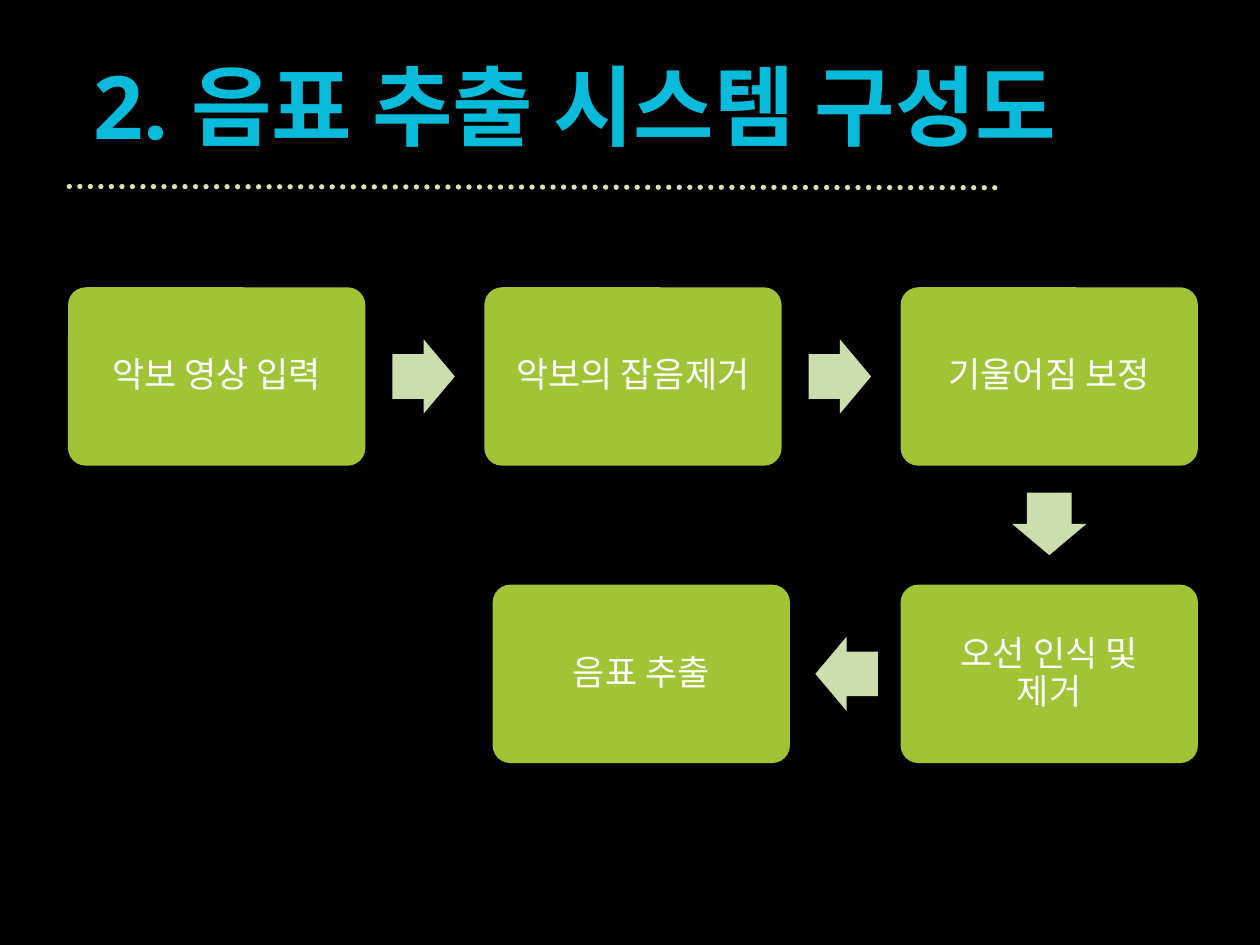
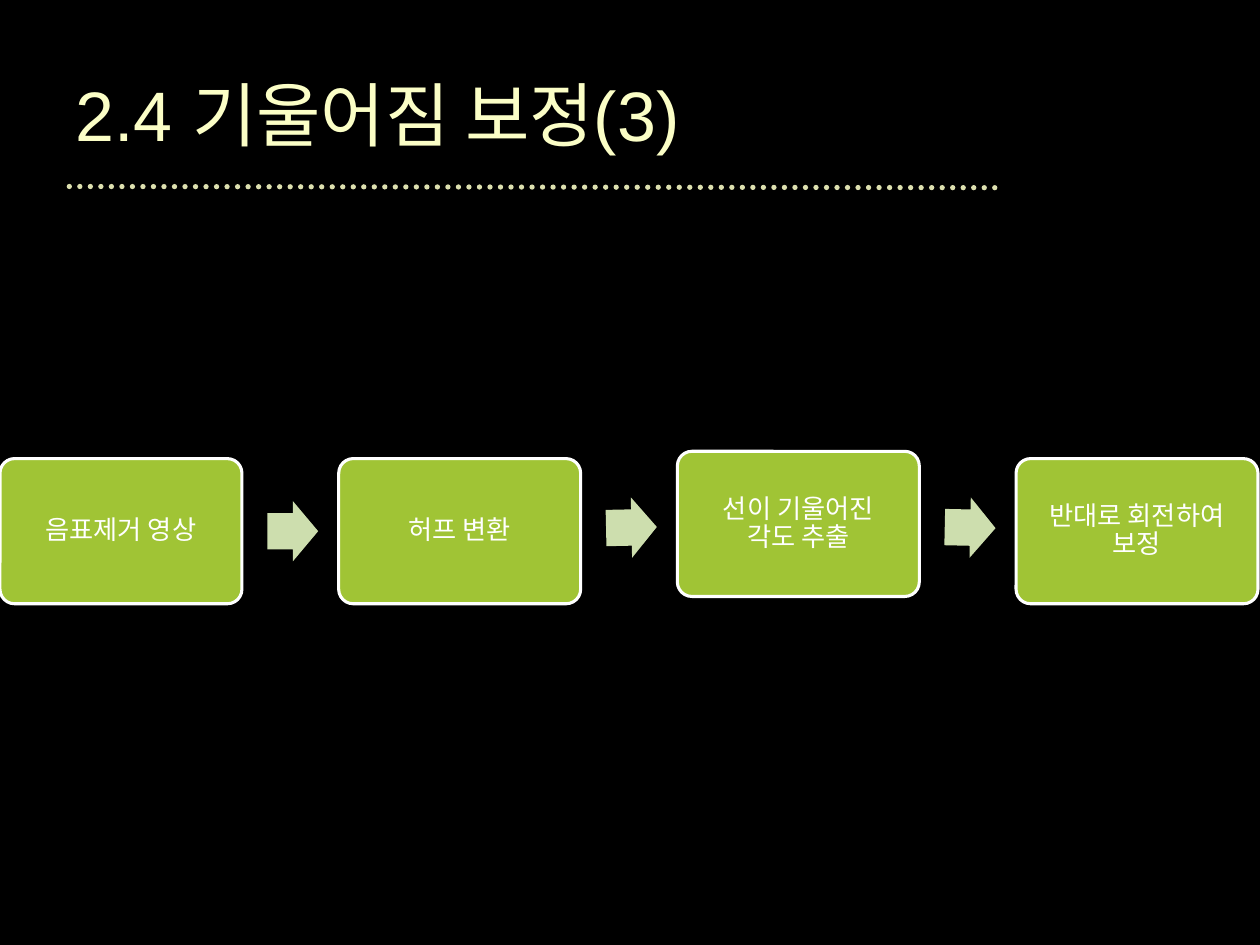
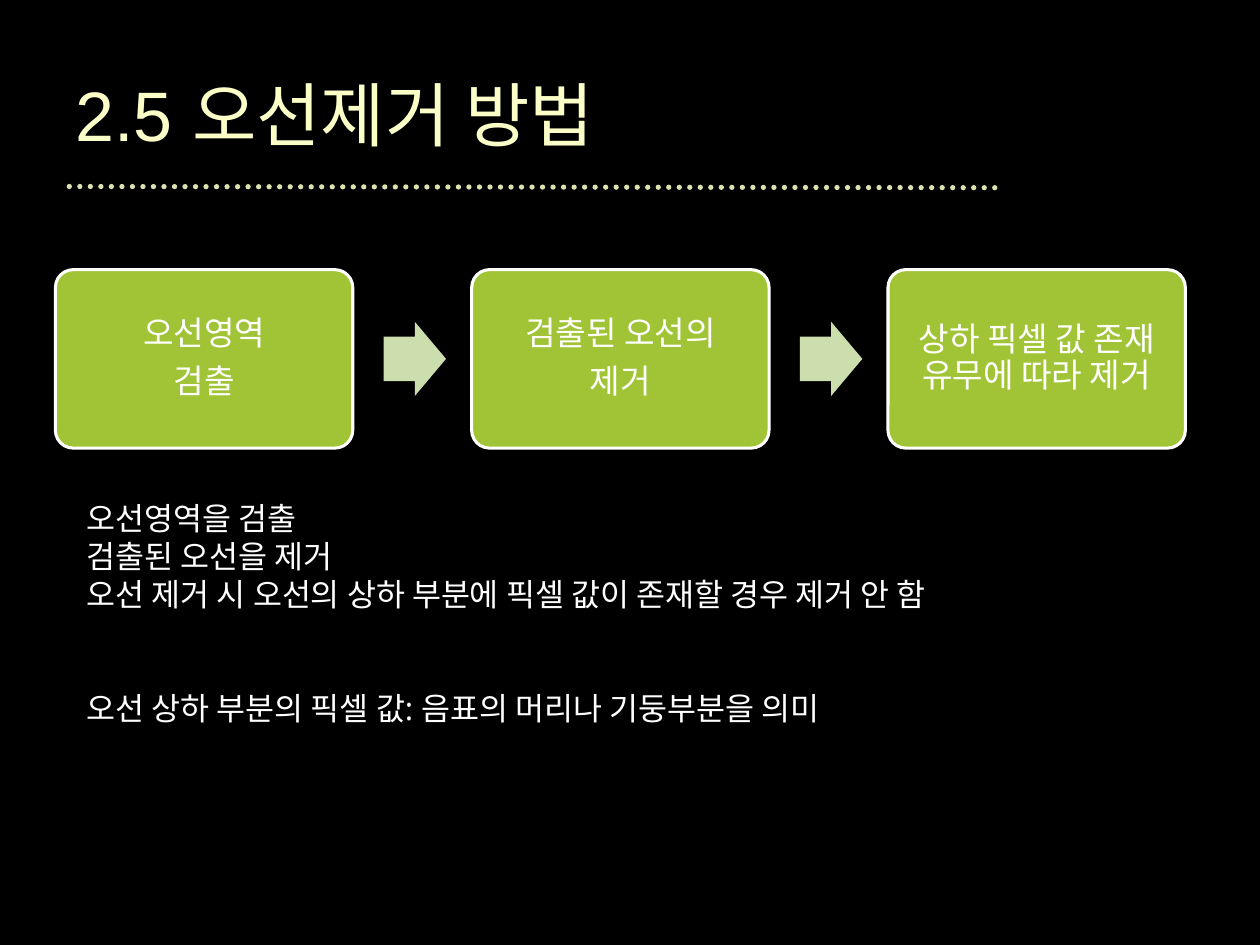
from dataclasses import dataclass
from math import atan2, cos, degrees, hypot, sin

from lxml.etree import SubElement
from pptx import Presentation
from pptx.dml.color import RGBColor
from pptx.enum.dml import MSO_LINE
from pptx.enum.shapes import MSO_CONNECTOR, MSO_SHAPE
from pptx.enum.text import MSO_ANCHOR, MSO_AUTO_SIZE, PP_ALIGN
from pptx.oxml.ns import qn
from pptx.util import Inches, Pt


@dataclass(frozen=True)
class Theme:
    """Colours, fonts and type sizes of the deck."""
    background: RGBColor = RGBColor.from_string("000000")
    rule: RGBColor = RGBColor.from_string("DDE0AF")
    step: RGBColor = RGBColor.from_string("A0C435")
    arrow: RGBColor = RGBColor.from_string("CDDEAE")
    text: RGBColor = RGBColor.from_string("FFFFFF")
    chapter: RGBColor = RGBColor.from_string("08BBDB")
    title: RGBColor = RGBColor.from_string("FBFEC6")
    title_font: str = "Arial"
    body_font: str = "Open Sans"
    chapter_size: int = 50
    title_size: int = 40
    body_size: int = 18


@dataclass(frozen=True)
class Step:
    """One box of a flow: its paragraphs and its place on the grid."""
    paragraphs: tuple
    column: float
    row: float = 0


@dataclass(frozen=True)
class Flow:
    """Origin, box width, type size and finish of a flow of steps."""
    left: float
    top: float
    width: float
    size: int
    inset: float
    arrow_shift: float
    outlined: bool = True


THEME = Theme()
TITLE_ONLY, TITLE_AND_BODY = 5, 1


def place(shape, left, top, width, height):
    """Set the box of a shape in inches."""
    shape.left, shape.top = Inches(left), Inches(top)
    shape.width, shape.height = Inches(width), Inches(height)


def add_text(para, text, font, size, color, bold=False):
    """Append runs to a paragraph, with a line break at each newline."""
    for index, line in enumerate(text.split("\n")):
        if index:
            para.add_line_break()
        span = para.add_run()
        span.text = line
        span.font.name, span.font.size, span.font.bold = font, Pt(size), bold
        span.font.fill.solid()
        span.font.color.rgb = color


def add_page(deck, layout):
    """Add a page with the dotted rule under its title."""
    page = deck.slides.add_slide(deck.slide_layouts[layout])
    rule = page.shapes.add_connector(
        MSO_CONNECTOR.STRAIGHT, Inches(0.55), Inches(1.48), Inches(7.97), Inches(1.49))
    rule.line.color.rgb = THEME.rule
    rule.line.width = Pt(3)
    rule.line.dash_style = MSO_LINE.ROUND_DOT
    properties = rule.element.spPr
    properties.find(qn("a:ln")).set("cap", "rnd")
    SubElement(properties, qn("a:effectLst"))
    return page


def prepare_title(page, box, alignment):
    """Place the title placeholder and return its paragraph."""
    title = page.shapes.title
    place(title, *box)
    frame = title.text_frame
    frame.auto_size = MSO_AUTO_SIZE.NONE
    frame.vertical_anchor = MSO_ANCHOR.MIDDLE
    para = frame.paragraphs[0]
    para.alignment = alignment
    return para


def chapter_title(page, text):
    """Write the large bold title of a chapter."""
    para = prepare_title(page, (0.2, 0.36, 8.73, 0.94), PP_ALIGN.CENTER)
    add_text(para, text, THEME.body_font, THEME.chapter_size, THEME.chapter, True)
    page.shapes.title.text_frame.word_wrap = False


def section_title(page, text):
    """Write the title of a section with its vertical gradient."""
    para = prepare_title(page, (0.5, 0.39, 7.47, 1.02), PP_ALIGN.LEFT)
    add_text(para, text, THEME.title_font, THEME.title_size, THEME.title)
    fill = para.runs[0].font.fill
    fill.gradient()
    fill.gradient_angle = 270
    for stop, color in zip(fill.gradient_stops, (THEME.title, THEME.text)):
        stop.color.rgb = color


def add_filled(page, preset, box, color, adjustments):
    """Add a plain filled preset shape without line or shadow."""
    shape = page.shapes.add_shape(preset, *(Inches(length) for length in box))
    shape.shadow.inherit = False
    shape.fill.solid()
    shape.fill.fore_color.rgb = color
    shape.line.fill.background()
    for index, value in enumerate(adjustments):
        shape.adjustments[index] = value
    return shape


def add_step(page, flow, step):
    """Draw one step and return its centre."""
    width, height = flow.width, 0.6 * flow.width
    left = flow.left + step.column * 1.4 * width
    top = flow.top + step.row * width
    box = add_filled(page, MSO_SHAPE.ROUNDED_RECTANGLE,
                     (left, top, width, height), THEME.step, (0.1,))
    if flow.outlined:
        box.line.color.rgb = THEME.text
        box.line.width = Pt(1.75)
    frame = box.text_frame
    frame.word_wrap = True
    frame.vertical_anchor = MSO_ANCHOR.MIDDLE
    frame.margin_left = frame.margin_right = Inches(flow.inset)
    frame.margin_top = frame.margin_bottom = Inches(flow.inset)
    for index, text in enumerate(step.paragraphs):
        para = frame.add_paragraph() if index else frame.paragraphs[0]
        para.alignment = PP_ALIGN.CENTER
        para.line_spacing = 0.9
        para.space_before = Pt(0.35 * flow.size if index else 0)
        add_text(para, text, THEME.body_font, flow.size, THEME.text)
    return left + width / 2, top + height / 2


def add_arrow(page, flow, start, end):
    """Draw a block arrow midway between two centres, turned along them."""
    angle = atan2(end[1] - start[1], end[0] - start[0])
    width, height = 0.21 * flow.width, 0.25 * flow.width
    center_x = (start[0] + end[0]) / 2 + flow.arrow_shift * cos(angle)
    center_y = (start[1] + end[1]) / 2 + flow.arrow_shift * sin(angle)
    arrow = add_filled(page, MSO_SHAPE.RIGHT_ARROW,
                       (center_x - width / 2, center_y - height / 2, width, height),
                       THEME.arrow, (0.6, 0.5))
    arrow.rotation = degrees(angle) % 360


def add_flow(page, flow, steps):
    """Draw the steps in order with an arrow between each pair."""
    centers = [add_step(page, flow, step) for step in steps]
    for start, end in zip(centers, centers[1:]):
        add_arrow(page, flow, start, end)


def add_notes_list(page, box, lines):
    """Fill the body placeholder with lines, each with its space before."""
    body = page.placeholders[1]
    place(body, *box)
    frame = body.text_frame
    frame.auto_size = MSO_AUTO_SIZE.NONE
    for index, (text, gap) in enumerate(lines):
        para = frame.add_paragraph() if index else frame.paragraphs[0]
        para.space_before = Pt(gap)
        add_text(para, text, THEME.body_font, THEME.body_size, THEME.text)
        properties = para._p.get_or_add_pPr()
        properties.set("marL", "0")
        properties.set("indent", "0")
        SubElement(properties, qn("a:buNone"))


def system_page(deck):
    """Build the overview of the extraction system."""
    page = add_page(deck, TITLE_ONLY)
    chapter_title(page, "2. 음표 추출 시스템 구성도")
    add_flow(page, Flow(0.54, 2.28, 2.36, 20, 0.08, -0.01, outlined=False), (
        Step(("악보 영상 입력",), 0),
        Step(("악보의 잡음제거",), 1),
        Step(("기울어짐 보정",), 2),
        Step(("오선 인식 및\n제거",), 2, 1),
        Step(("음표 추출",), 1.02, 1),
    ))


def skew_page(deck):
    """Build the flow of the skew correction."""
    page = add_page(deck, TITLE_ONLY)
    section_title(page, "2.4 기울어짐 보정(3)")
    add_flow(page, Flow(0, 3.64, 1.92, 15, 0.06, 0.02), (
        Step(("음표제거 영상",), 0),
        Step(("허프 변환",), 1),
        Step(("선이 기울어진\n각도 추출",), 2, -0.03),
        Step(("반대로 회전하여 보정",), 3),
    ))


def staff_page(deck):
    """Build the flow and the notes of the staff removal."""
    page = add_page(deck, TITLE_AND_BODY)
    section_title(page, "2.5 오선제거 방법")
    add_flow(page, Flow(0.44, 2.14, 2.36, 19, 0.08, 0.02), (
        Step(("오선영역", "검출"), 0),
        Step(("검출된 오선의", "제거"), 1),
        Step(("상하 픽셀 값 존재 유무에 따라 제거",), 2),
    ))
    add_notes_list(page, (0.59, 3.91, 8.9, 1.92), (
        ("오선영역을 검출", 0),
        ("검출된 오선을 제거", 0),
        ("오선 제거 시 오선의 상하 부분에 픽셀 값이 존재할 경우 제거 안 함", 0),
        ("오선 상하 부분의 픽셀 값: 음표의 머리나 기둥부분을 의미", 44),
    ))


def main():
    """Build and save the deck."""
    deck = Presentation()
    deck.slide_width, deck.slide_height = Inches(10), Inches(7.5)
    fill = deck.slide_master.background.fill
    fill.solid()
    fill.fore_color.rgb = THEME.background
    for build in (system_page, skew_page, staff_page):
        build(deck)
    deck.save("out.pptx")


if __name__ == "__main__":
    main()
